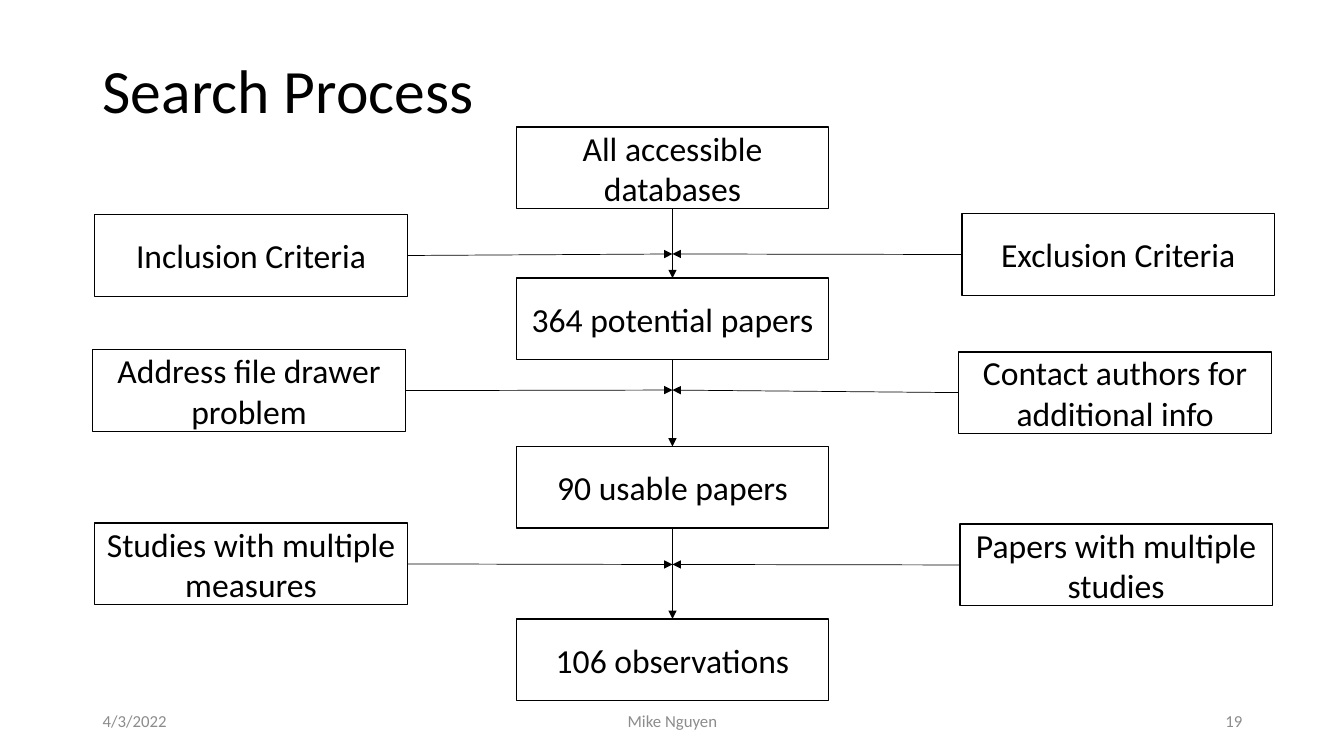
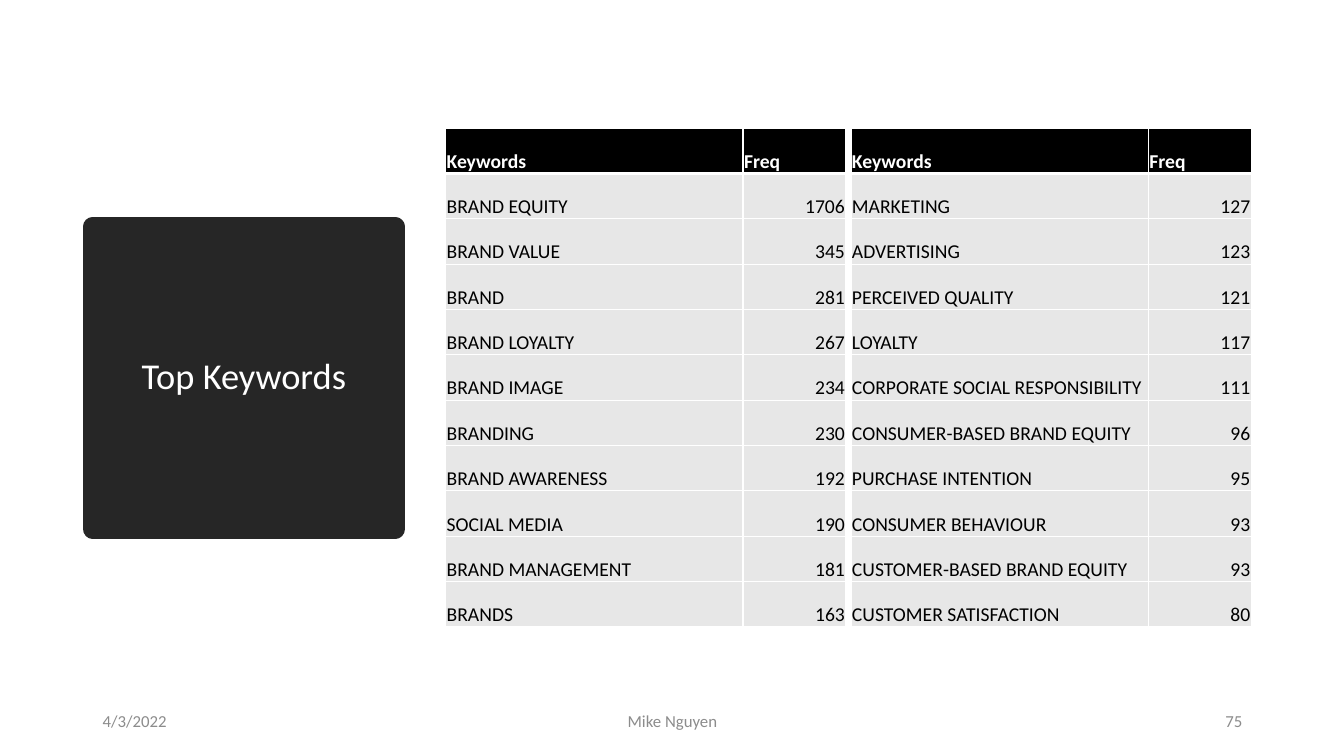
from pptx import Presentation
from pptx.dml.color import RGBColor
from pptx.enum.shapes import MSO_CONNECTOR, MSO_SHAPE
from pptx.enum.text import MSO_ANCHOR, PP_ALIGN
from pptx.oxml.ns import qn
from pptx.util import Inches, Pt
from lxml import etree

LEFT, MID, RIGHT = PP_ALIGN.LEFT, PP_ALIGN.CENTER, PP_ALIGN.RIGHT
CENTER, BOTTOM = MSO_ANCHOR.MIDDLE, MSO_ANCHOR.BOTTOM
RECT, LINE = MSO_SHAPE.RECTANGLE, MSO_CONNECTOR.STRAIGHT
COLORS = {"white": "FFFFFF", "black": "000000", "gray": "8C8C8C",
          "pale": "E7E7E7", "dark": "262626"}
STYLES = {
    "title": {"size": Pt(44), "color": "black"},
    "foot": {"size": Pt(12), "color": "gray"},
    "box": {"size": Pt(24), "color": "black"},
    "tile": {"size": Pt(26), "color": "white"},
    "head": {"size": Pt(14), "color": "white", "bold": True},
    "body": {"size": Pt(14), "color": "black", "bold": False},
}

FOOT_TOP, FOOT_H = 6.95, 0.4
FOOTER = [(0.92, 3, LEFT, "4/3/2022"), (4.42, 4.5, MID, "Mike Nguyen")]
PAGE = (9.42, 3, RIGHT)

BOX_W, BOX_H, STEP_X = 3.1, 0.81, 5.12
STEPS = [(1.26, "All accessible databases"), (2.76, "364 potential papers"),
         (4.43, "90 usable papers"), (6.14, "106 observations")]
SIDES = [
    (2.52, (0.94, 2.13, "Inclusion Criteria"), (9.54, 2.12, "Exclusion Criteria")),
    (3.87, (0.92, 3.47, "Address file drawer problem"),
     (9.51, 3.49, "Contact authors for additional info")),
    (5.6, (0.94, 5.19, "Studies with multiple measures"),
     (9.52, 5.2, "Papers with multiple studies")),
]

HEADS = ("Keywords", "Freq")
COLS, ROW_H, GRID_TOP = (2.95, 1.02), 0.45, 1.27
GRIDS = [
    (4.42, [("BRAND EQUITY", 1706), ("BRAND VALUE", 345), ("BRAND", 281),
            ("BRAND LOYALTY", 267), ("BRAND IMAGE", 234), ("BRANDING", 230),
            ("BRAND AWARENESS", 192), ("SOCIAL MEDIA", 190),
            ("BRAND MANAGEMENT", 181), ("BRANDS", 163)]),
    (8.44, [("MARKETING", 127), ("ADVERTISING", 123), ("PERCEIVED QUALITY", 121),
            ("LOYALTY", 117), ("CORPORATE SOCIAL RESPONSIBILITY", 111),
            ("CONSUMER-BASED BRAND EQUITY", 96), ("PURCHASE INTENTION", 95),
            ("CONSUMER BEHAVIOUR", 93), ("CUSTOMER-BASED BRAND EQUITY", 93),
            ("CUSTOMER SATISFACTION", 80)]),
]


def rgb(name):
    return RGBColor.from_string(COLORS[name])


def write(frame, text, style, align=LEFT, space=None):
    para = frame.paragraphs[0]
    para.alignment = align
    if space:
        para.line_spacing = space
    run = para.add_run()
    run.text = text
    run.font.name = "Calibri"
    for key, value in STYLES[style].items():
        if key == "color":
            run.font.color.rgb = rgb(value)
        else:
            setattr(run.font, key, value)


def label(slide, area, text, style, align=LEFT, space=None):
    frame = slide.shapes.add_textbox(*map(Inches, area)).text_frame
    frame.word_wrap = True
    frame.vertical_anchor = CENTER
    write(frame, text, style, align, space)


def block(slide, area, text, style, fill, line, width, space=None):
    shape = slide.shapes.add_shape(RECT, *map(Inches, area))
    shape.shadow.inherit = False
    shape.fill.solid()
    shape.fill.fore_color.rgb = rgb(fill)
    shape.line.color.rgb = rgb(line)
    shape.line.width = Pt(width)
    shape.text_frame.word_wrap = True
    shape.text_frame.vertical_anchor = CENTER
    write(shape.text_frame, text, style, MID, space)
    return shape


def box(slide, left, top, text):
    return block(slide, (left, top, BOX_W, BOX_H), text, "box", "white", "black", 1)


def arrow(slide, start, side, end):
    line = slide.shapes.add_connector(LINE, 0, 0, *map(Inches, end))
    line.begin_connect(start, side)
    line.line.color.rgb = rgb("black")
    line.line.width = Pt(0.5)
    etree.SubElement(line.line._get_or_add_ln(), qn("a:tailEnd"), type="triangle")
    etree.SubElement(line._element.spPr, qn("a:effectLst"))
    return line


def edge(cell, row):
    props = cell._tc.get_or_add_tcPr()
    widths = {"L": 1, "R": 1, "T": 3 if row == 1 else 1, "B": 3 if row == 0 else 1}
    for side, width in widths.items():
        line = etree.SubElement(props, qn("a:ln" + side), w=str(Pt(width)))
        fill = etree.SubElement(line, qn("a:solidFill"))
        etree.SubElement(fill, qn("a:srgbClr"), val=COLORS["white"])


def grid(slide, left, items):
    rows = [HEADS] + items
    area = (left, GRID_TOP, sum(COLS), ROW_H * len(rows))
    table = slide.shapes.add_table(len(rows), len(COLS), *map(Inches, area)).table
    table.horz_banding = False
    for col, width in zip(table.columns, COLS):
        col.width = Inches(width)
    for r, values in enumerate(rows):
        table.rows[r].height = Inches(ROW_H)
        for c, value in enumerate(values):
            cell = table.cell(r, c)
            edge(cell, r)
            cell.fill.solid()
            cell.fill.fore_color.rgb = rgb("pale" if r else "black")
            cell.vertical_anchor = BOTTOM
            cell.margin_left = cell.margin_right = cell.margin_top = Inches(0.01)
            cell.margin_bottom = 0
            write(cell.text_frame, str(value), "body" if r else "head",
                  RIGHT if r and c else LEFT)


def start(deck, page):
    slide = deck.slides.add_slide(deck.slide_layouts[6])
    for left, width, align, text in FOOTER + [(*PAGE, page)]:
        label(slide, (left, FOOT_TOP, width, FOOT_H), text, "foot", align)
    return slide


def search(deck):
    slide = start(deck, "19")
    label(slide, (0.92, 0.2, 11.5, 1.45), "Search Process", "title", space=0.9)
    axis = STEP_X + BOX_W / 2
    steps = [box(slide, STEP_X, top, text) for top, text in STEPS]
    for upper, lower, (top, _) in zip(steps, steps[1:], STEPS[1:]):
        arrow(slide, upper, 2, (axis, top)).end_connect(lower, 0)
    for level, *pair in SIDES:
        for item, side in zip(pair, (3, 1)):
            arrow(slide, box(slide, *item), side, (axis, level))


def words(deck):
    slide = start(deck, "75")
    for left, items in GRIDS:
        grid(slide, left, items)
    tile = block(slide, (0.92, 2.25, 3, 3), "Top Keywords", "tile",
                 "dark", "dark", 13.75, 0.9)
    etree.SubElement(tile.line._get_or_add_ln(), qn("a:round"))


def main():
    deck = Presentation()
    deck.slide_width, deck.slide_height = Inches(13.33), Inches(7.5)
    search(deck)
    words(deck)
    deck.save("out.pptx")


if __name__ == "__main__":
    main()
